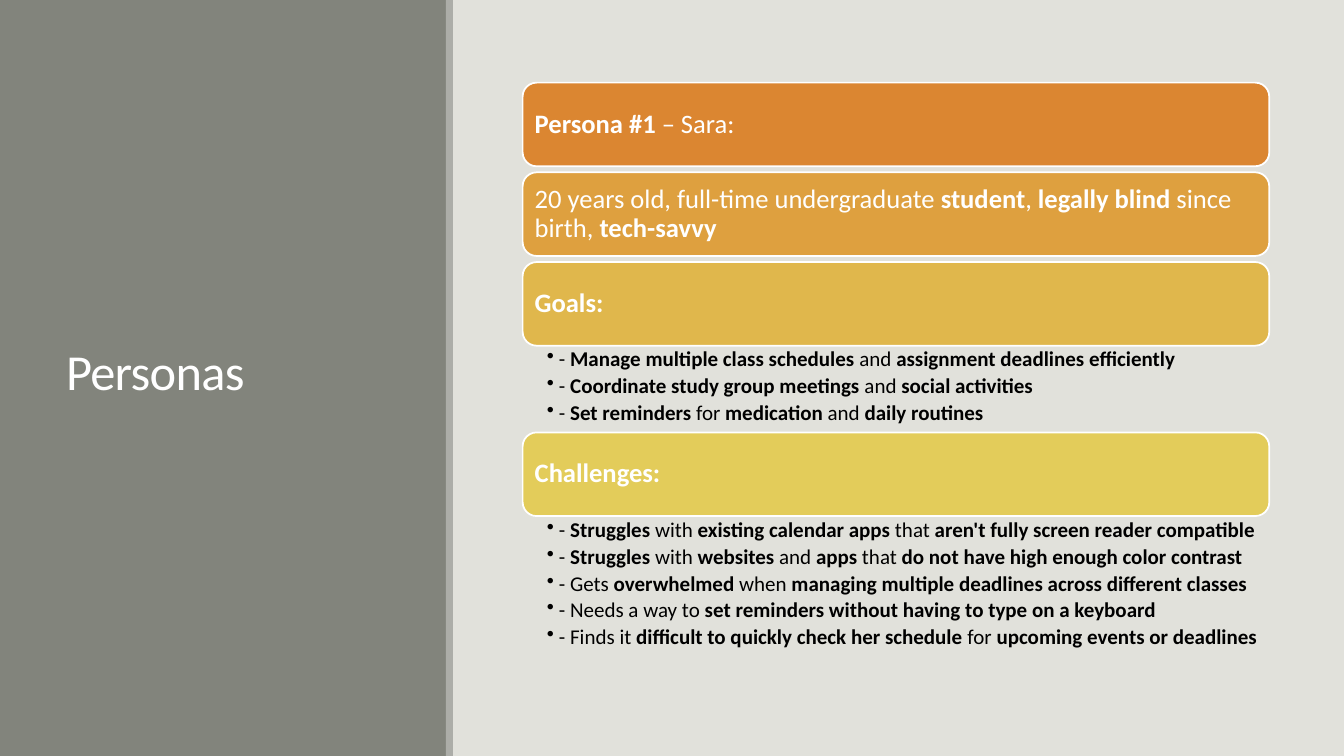
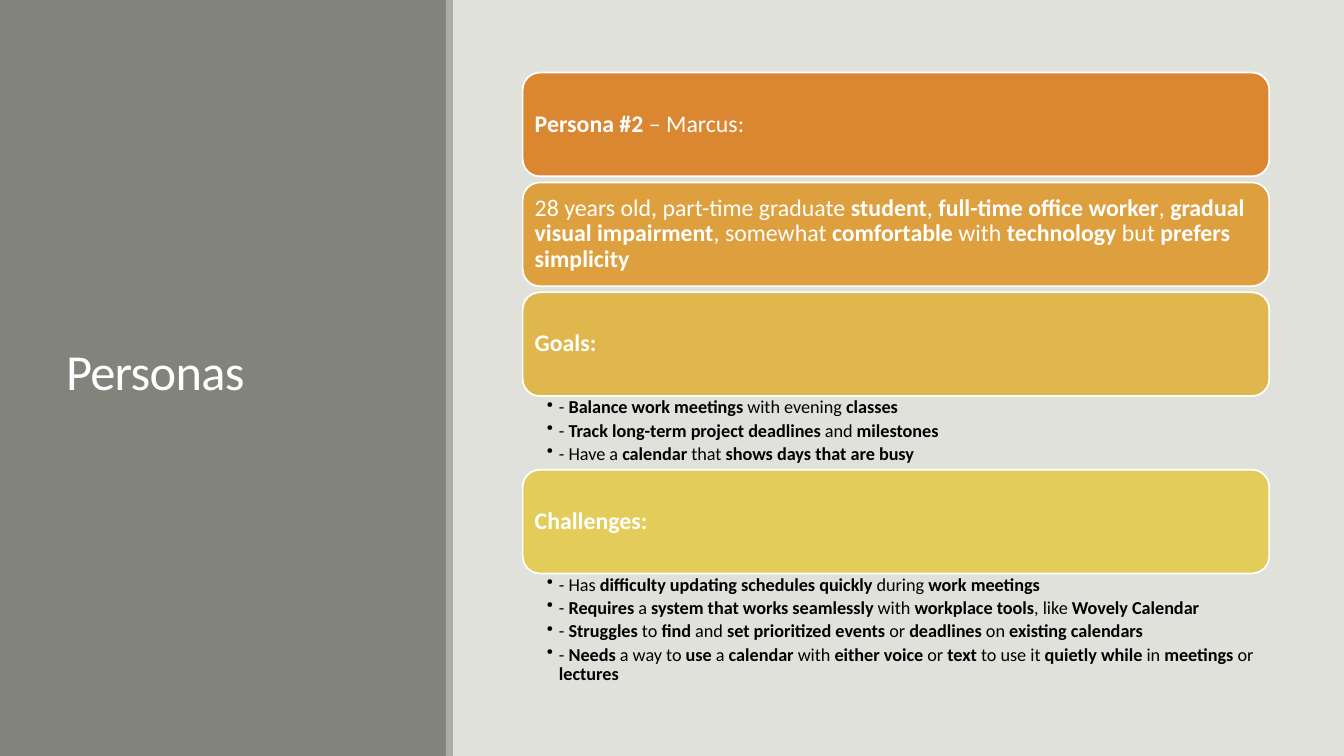
from lxml.etree import SubElement
from pptx import Presentation
from pptx.dml.color import RGBColor
from pptx.enum.shapes import MSO_SHAPE
from pptx.enum.text import MSO_ANCHOR, PP_ALIGN
from pptx.oxml.ns import qn
from pptx.util import Inches, Pt

FONT = "Calibri"
WHITE = RGBColor(0xFF, 0xFF, 0xFF)
BLACK = RGBColor(0x00, 0x00, 0x00)
PAPER = RGBColor(0xE1, 0xE1, 0xDB)
SIDEBAR = RGBColor(0x82, 0x84, 0x7C)
STRIPE = RGBColor(0xAC, 0xAD, 0xA8)
BAR_COLOURS = [
    RGBColor(0xDB, 0x86, 0x31),
    RGBColor(0xDE, 0xA0, 0x3F),
    RGBColor(0xE0, 0xB7, 0x4C),
    RGBColor(0xE3, 0xCC, 0x5A),
]

deck = Presentation()
deck.slide_width, deck.slide_height = Inches(13.33), Inches(7.5)
COLUMN, ROW = deck.slide_width // 36, deck.slide_height // 36
LIST_LEFT, LIST_WIDTH = 14 * COLUMN, 20 * COLUMN
BAR_GAP = Inches(0.06)

# Each section is a bar heading and its bullets; asterisks enclose bold text.
PERSONAS = [
    {
        "top": 0.82, "bar_height": 0.83, "bar_size": 19, "inset": 0.08,
        "bullet_size": 15, "bullet_inset": 0.03,
        "sections": [
            ("*Persona #1* – Sara:", 0, []),
            ("20 years old, full-time undergraduate *student*, "
             "*legally blind* since birth, *tech-savvy*", 0, []),
            ("*Goals:*", 0.86, [
                "- *Manage multiple class schedules* and *assignment deadlines efficiently*",
                "- *Coordinate study group meetings* and *social activities*",
                "- *Set reminders* for *medication *and *daily routines*",
            ]),
            ("*Challenges:*", 1.63, [
                "- *Struggles* with *existing calendar apps* that "
                "*aren't fully screen reader compatible*",
                "- *Struggles* with *websites *and *apps *that "
                "*do not have high enough color contrast*",
                "- Gets *overwhelmed* when "
                "*managing multiple deadlines across different classes*",
                "- Needs a way to* set reminders without having to type on a keyboard*",
                "- Finds it *difficult to quickly check her schedule* for "
                "*upcoming events or deadlines*",
            ]),
        ],
    },
    {
        "top": 0.72, "bar_height": 1.03, "bar_size": 17, "inset": 0.07,
        "bullet_size": 13, "bullet_inset": 0.02,
        "sections": [
            ("*Persona #2* – Marcus:", 0, []),
            ("28 years old, part-time graduate *student*, *full-time office worker*, "
             "*gradual visual impairment*, somewhat *comfortable *with *technology *but "
             "*prefers simplicity*", 0, []),
            ("*Goals:*", 0.73, [
                "- *Balance work meetings* with evening *classes*",
                "- *Track long-term project deadlines* and *milestones*",
                "- Have a *calendar *that *shows days that are busy*",
            ]),
            ("*Challenges:*", 1.17, [
                "- Has *difficulty updating schedules quickly* during *work meetings*",
                "- *Requires *a *system that works seamlessly *with *workplace tools*, "
                "like *Wovely Calendar*",
                "- *Struggles *to *find* and *set prioritized events* or *deadlines* "
                "on *existing calendars*",
                "- *Needs *a way to *use *a *calendar *with *either voice* or *text *"
                "to use it *quietly while *in *meetings *or *lectures*",
            ]),
        ],
    },
]


def add_block(slide, shape_type, left, top, width, height, colour):
    """Add a filled shape without outline or shadow."""
    block = slide.shapes.add_shape(shape_type, left, top, width, height)
    block.shadow.inherit = False
    block.fill.solid()
    block.fill.fore_color.rgb = colour
    block.line.fill.background()
    return block


def add_spans(para, marked_text, size, colour):
    """Add runs, with every part between asterisks in bold."""
    for index, text in enumerate(marked_text.split("*")):
        if text:
            span = para.add_run()
            span.text = text
            span.font.name = FONT
            span.font.size = Pt(size)
            span.font.bold = index % 2 == 1
            span.font.color.rgb = colour


deck.slide_master.background.fill.solid()
deck.slide_master.background.fill.fore_color.rgb = PAPER
title_only = deck.slide_layouts[5]

for persona in PERSONAS:
    slide = deck.slides.add_slide(title_only)

    title = slide.shapes.title
    title.left, title.top = int(1.5 * COLUMN), int(2.75 * ROW)
    title.width, title.height = 9 * COLUMN, int(30.25 * ROW)
    title.text_frame.vertical_anchor = MSO_ANCHOR.MIDDLE
    para = title.text_frame.paragraphs[0]
    para.alignment = PP_ALIGN.LEFT
    para.line_spacing = 0.85
    add_spans(para, "Personas", 36, WHITE)
    para.runs[0].font._element.set("spc", "-50")

    sidebar = add_block(slide, MSO_SHAPE.RECTANGLE, 0, 0,
                        12 * COLUMN, deck.slide_height, SIDEBAR)
    title.element.addprevious(sidebar.element)
    add_block(slide, MSO_SHAPE.RECTANGLE, sidebar.width - Inches(0.02), 0,
              Inches(0.07), deck.slide_height, STRIPE)

    top = Inches(persona["top"])
    bar_height = Inches(persona["bar_height"])
    for (heading, list_height, bullets), colour in zip(persona["sections"], BAR_COLOURS):
        bar = add_block(slide, MSO_SHAPE.ROUNDED_RECTANGLE, LIST_LEFT, top,
                        LIST_WIDTH, bar_height, colour)
        bar.line.color.rgb = WHITE
        bar.line.width = Pt(1.25)
        frame = bar.text_frame
        frame.word_wrap = True
        frame.vertical_anchor = MSO_ANCHOR.MIDDLE
        frame.margin_left = frame.margin_right = Inches(persona["inset"])
        frame.margin_top = frame.margin_bottom = Inches(persona["inset"])
        para = frame.paragraphs[0]
        para.alignment = PP_ALIGN.LEFT
        para.line_spacing = 0.9
        add_spans(para, heading, persona["bar_size"], WHITE)
        top += bar_height

        if not bullets:
            top += BAR_GAP
            continue

        box = slide.shapes.add_textbox(LIST_LEFT, top, LIST_WIDTH, Inches(list_height))
        frame = box.text_frame
        frame.word_wrap = True
        frame.margin_left, frame.margin_right = Inches(0.24), Inches(0.1)
        frame.margin_top = frame.margin_bottom = Inches(persona["bullet_inset"])
        for index, bullet in enumerate(bullets):
            para = frame.add_paragraph() if index else frame.paragraphs[0]
            para.level = 1
            para.line_spacing = 0.9
            para.space_after = Pt(0.2 * persona["bullet_size"])
            properties = para._p.get_or_add_pPr()
            properties.set("marL", str(Inches(0.12)))
            properties.set("indent", str(-Inches(0.12)))
            SubElement(properties, qn("a:buChar"), char="•")
            add_spans(para, bullet, persona["bullet_size"], BLACK)
        top += Inches(list_height)

deck.save("out.pptx")
